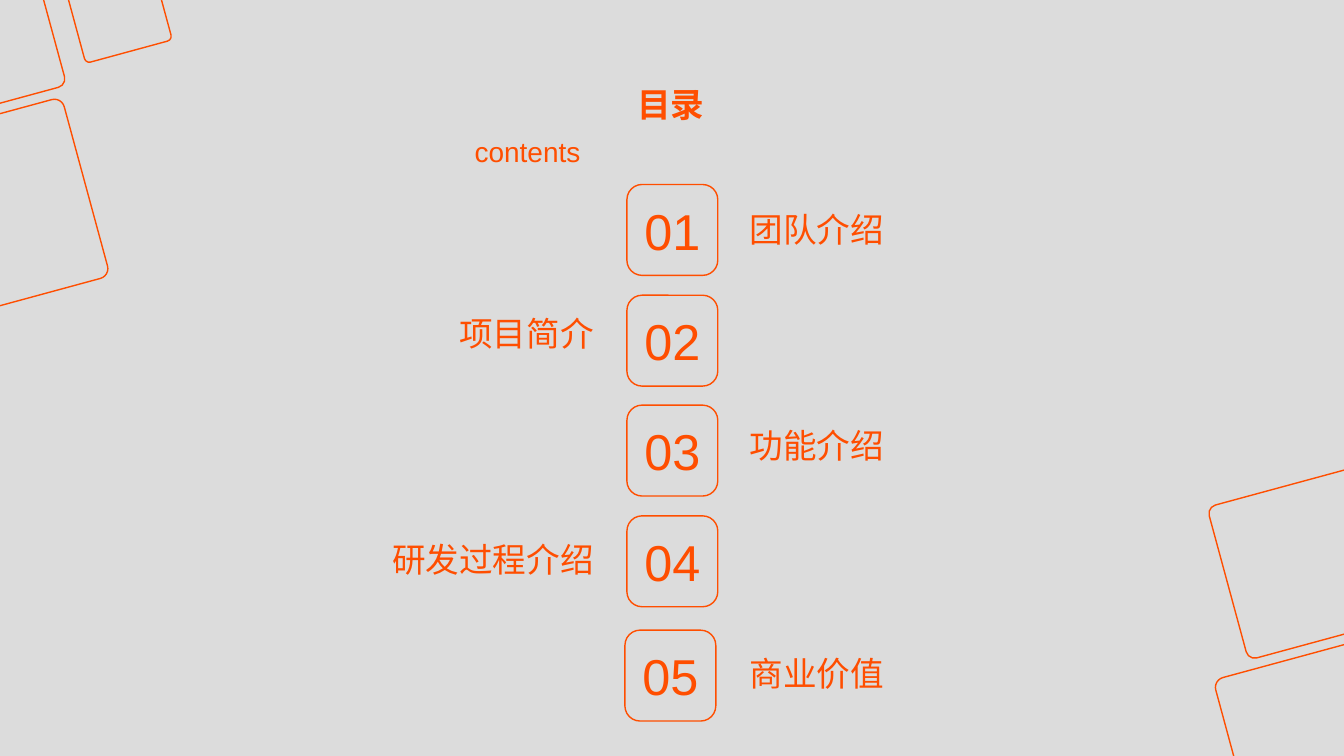
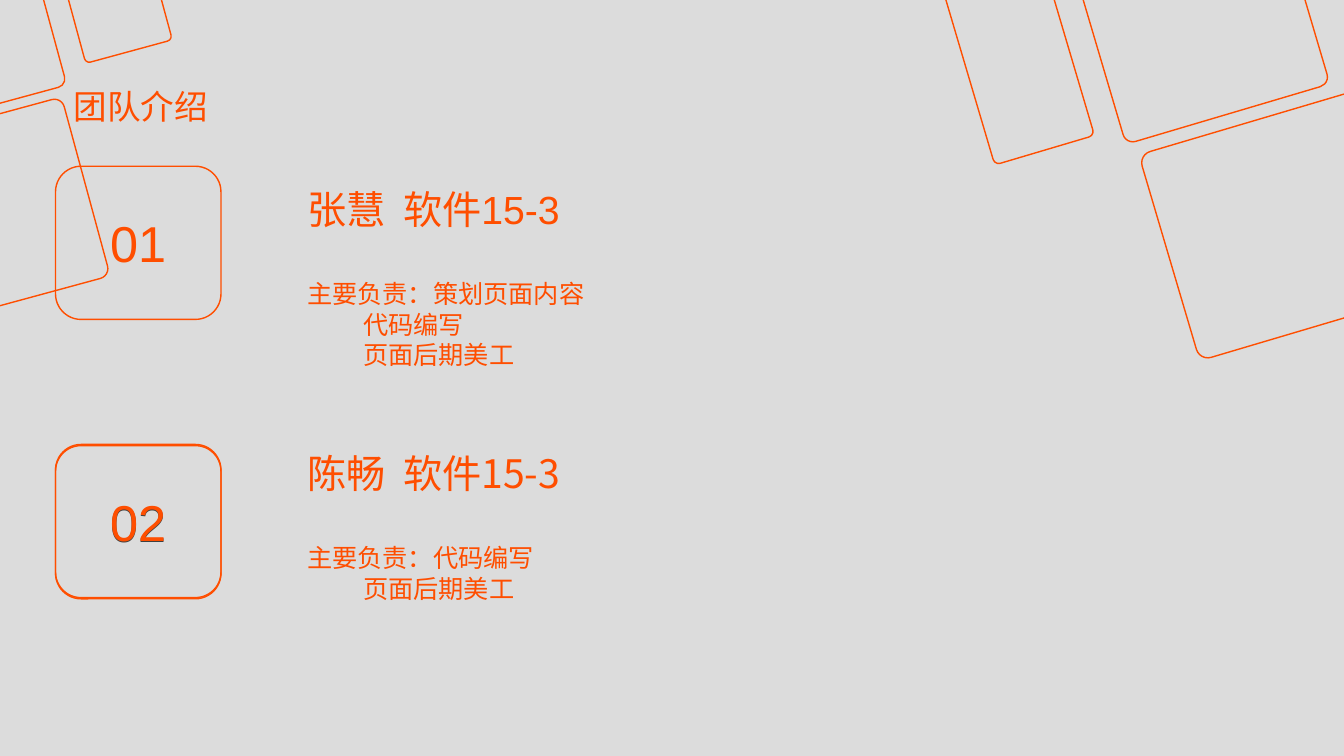
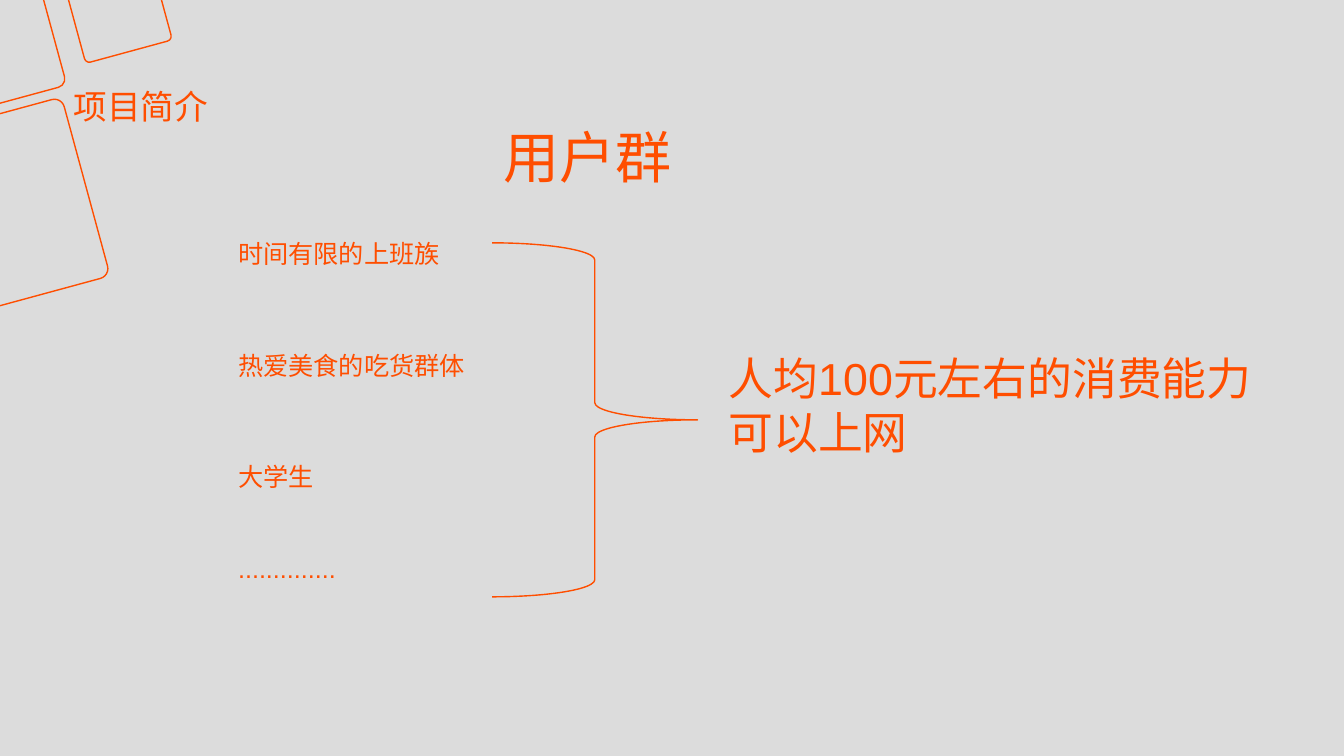
from lxml.etree import SubElement
from pptx import Presentation
from pptx.dml.color import RGBColor
from pptx.enum.shapes import MSO_SHAPE
from pptx.enum.text import MSO_ANCHOR, MSO_AUTO_SIZE, PP_ALIGN
from pptx.oxml.ns import qn
from pptx.util import Cm, Pt

ORANGE = "FF4E00"
GREY = "404040"
BACKGROUND = "DCDCDC"
LATIN = "Arial"
CJK = "Noto Sans CJK SC"
TILT = 344.8

CORNER_TILES = [
    (-3.38, -1.17, 4.62, 3.99),
    (-3.15, 3.07, 5.41, 4.67),
    (1.6, -2.62, 2.26, 3.99),
]
LARGE_TILES = [
    (27.61, -1.65, 5.36, 4.62),
    (29.34, 2.9, 6.27, 5.41),
    (24.36, -0.74, 2.62, 4.62),
]


def paint(color_format, color):
    color_format.rgb = RGBColor.from_string(color)


def write(p, text, size=18, color=ORANGE, font=LATIN, bold=False,
          align=PP_ALIGN.LEFT, before=0, spacing=None):
    p.alignment = align
    if before:
        p.space_before = Pt(before)
    if spacing:
        p.line_spacing = spacing
    r = p.add_run()
    r.text = text
    r.font.size = Pt(size)
    r.font.bold = bold
    paint(r.font.color, color)
    r.font.name = font
    SubElement(r._r.get_or_add_rPr(), qn("a:ea"), typeface=CJK)


def indent(p, left):
    pPr = p._p.get_or_add_pPr()
    pPr.set("marL", str(Cm(left)))
    pPr.set("indent", "0")


def add_tab_stop(p, position):
    tabs = SubElement(p._p.get_or_add_pPr(), qn("a:tabLst"))
    SubElement(tabs, qn("a:tab"), pos=str(Cm(position)), algn="l")


def add_box(s, box, anchor=MSO_ANCHOR.TOP):
    tf = s.shapes.add_textbox(*map(Cm, box)).text_frame
    tf.word_wrap = True
    tf.vertical_anchor = anchor
    return tf


def add_text(s, box, text, anchor=MSO_ANCHOR.TOP, **style):
    write(add_box(s, box, anchor).paragraphs[0], text, **style)


def add_outline(s, kind, box):
    sp = s.shapes.add_shape(kind, *map(Cm, box))
    sp.shadow.inherit = False
    sp.fill.background()
    paint(sp.line.color, ORANGE)
    sp.line.width = Pt(1)
    return sp


def add_tiles(s, tiles, dx=0, dy=0, rotation=TILT):
    """Draw tilted rounded tiles, shifted by dx and dy."""
    for x, y, w, h in tiles:
        sp = add_outline(s, MSO_SHAPE.ROUNDED_RECTANGLE, (x + dx, y + dy, w, h))
        sp.adjustments[0] = 0.055
        sp.rotation = rotation


def add_number(s, box, number, color=ORANGE):
    tf = add_outline(s, MSO_SHAPE.ROUNDED_RECTANGLE, box).text_frame
    tf.vertical_anchor = MSO_ANCHOR.MIDDLE
    write(tf.paragraphs[0], f"{number:02}", size=36, color=color,
          align=PP_ALIGN.CENTER)


def add_slide(prs, title, box=(1.6, 1.75, 6.88, 1.83), **style):
    """Add a slide with the corner tiles and its title."""
    s = prs.slides.add_slide(prs.slide_layouts[5])
    add_tiles(s, CORNER_TILES)
    sp = s.shapes.title
    sp.left, sp.top, sp.width, sp.height = map(Cm, box)
    tf = sp.text_frame
    tf.auto_size = MSO_AUTO_SIZE.NONE
    tf.vertical_anchor = MSO_ANCHOR.MIDDLE
    write(tf.paragraphs[0], title, size=24, **style)
    return s


def add_member(s, box, name, group, duties, font=LATIN):
    tf = add_box(s, box)
    p = tf.paragraphs[0]
    add_tab_stop(p, 2.42)
    write(p, f"{name}\t{group}", size=28, font=font)
    for i, duty in enumerate(duties):
        p = tf.add_paragraph()
        if i == 0:
            write(p, f"主要负责：{duty}", before=33, font=font)
        else:
            indent(p, 1.41)
            write(p, duty, font=font)


def build_contents(prs):
    s = add_slide(prs, "目录", (13.46, 1.7, 6.88, 1.83), bold=True,
                  align=PP_ALIGN.CENTER)
    add_text(s, (11.71, 2.84, 10.34, 1.37), "contents", size=20,
             align=PP_ALIGN.JUSTIFY, spacing=1.5)
    entries = [
        ("团队介绍", 15.8, 4.65, 5.03),
        ("项目简介", 15.8, 7.44, 7.67),
        ("功能介绍", 15.8, 10.21, 10.49),
        ("研发过程介绍", 15.8, 13, 13.36),
        ("商业价值", 15.75, 15.88, 16.23),
    ]
    for i, (label, x, y, label_y) in enumerate(entries, 1):
        add_number(s, (x, y, 2.29, 2.29), i)
        on_right = i % 2 == 1
        add_text(s, (18.64 if on_right else 8.66, label_y, 6.55, 1.47), label,
                 MSO_ANCHOR.MIDDLE, size=24,
                 align=PP_ALIGN.LEFT if on_right else PP_ALIGN.RIGHT)
    add_tiles(s, CORNER_TILES[:2], dx=34.24, dy=13.28)


def build_team(prs):
    s = add_slide(prs, "团队介绍")
    for number, y, color in [(1, 4.19, ORANGE), (2, 11.23, GREY), (2, 11.2, ORANGE)]:
        add_number(s, (1.4, y, 4.17, 3.86), number, color)
    add_member(s, (7.49, 4.55, 14.6, 4.95), "张慧", "软件15-3",
               ["策划页面内容", "代码编写", "页面后期美工"])
    add_member(s, (7.49, 11.2, 14.6, 4.19), "陈畅", "软件15-3",
               ["代码编写", "页面后期美工"], font=CJK)
    add_tiles(s, LARGE_TILES, rotation=343.5)


def build_users(prs):
    s = add_slide(prs, "项目简介")
    add_text(s, (12.45, 2.97, 4.88, 1.96), "用户群", size=40)
    users = [
        ("时间有限的上班族", 5.87),
        ("热爱美食的吃货群体", 8.71),
        ("大学生", 11.51),
        ("..............", 13.82),
    ]
    for user, y in users:
        add_text(s, (5.75, y, 13.8, 1.02), user)
    add_outline(s, MSO_SHAPE.RIGHT_BRACE, (12.4, 6.12, 5.18, 8.92))
    tf = add_box(s, (18.11, 8.71, 14.63, 3))
    write(tf.paragraphs[0], "人均100元左右的消费能力", size=32)
    write(tf.add_paragraph(), "可以上网", size=32)


def main():
    prs = Presentation()
    prs.slide_width, prs.slide_height = Cm(33.87), Cm(19.05)
    fill = prs.slide_master.background.fill
    fill.solid()
    paint(fill.fore_color, BACKGROUND)
    build_contents(prs)
    build_team(prs)
    build_users(prs)
    prs.save("out.pptx")


if __name__ == "__main__":
    main()
